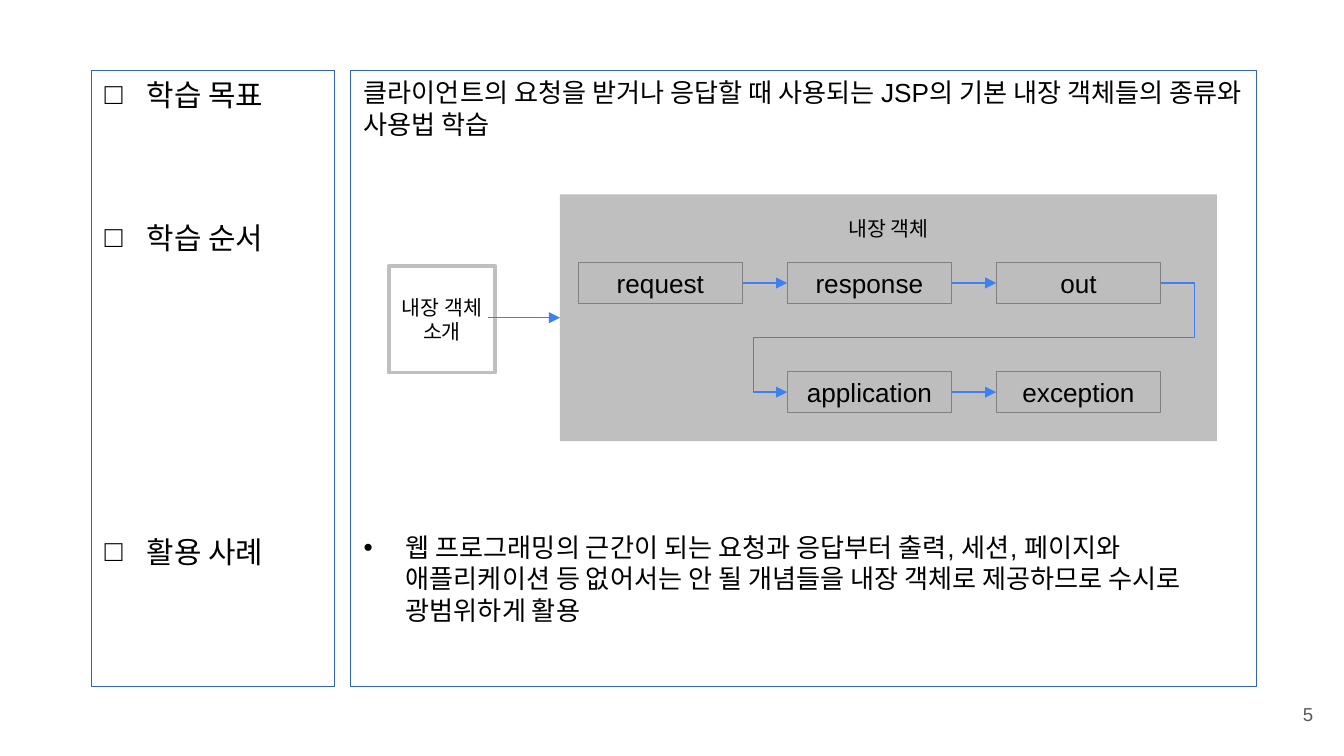
from dataclasses import dataclass
from typing import Any

from lxml import etree
from pptx import Presentation
from pptx.dml import color
from pptx.enum import shapes, text
from pptx.oxml import ns
from pptx.util import Pt


@dataclass(frozen=True)
class Theme:
    """Colours, type sizes and font of the slide."""
    font: str = "Arial"
    ink: str = "000000"
    muted: str = "595959"
    paper: str = "FFFFFF"
    panel_edge: str = "3162B5"
    area: str = "BFBFBF"
    step: str = "BDBDBD"
    step_edge: str = "808080"
    arrow: str = "3C81F3"
    heading: float = 16
    body: float = 14
    label: float = 11
    page: float = 10


@dataclass(frozen=True)
class Box:
    """A rectangle in points with its fill and outline."""
    left: float
    top: float
    width: float
    height: float
    fill: str | None = None
    edge: str | None = None
    edge_width: float = 0.25


@dataclass(frozen=True)
class Para:
    """A paragraph with its size, bullet and gap above."""
    words: str
    size: float
    bullet: str = ""
    before: float = 0
    align: text.PP_ALIGN = text.PP_ALIGN.LEFT
    ink: str = Theme.ink


@dataclass(frozen=True)
class Step:
    """A built-in object placed on the diagram grid."""
    name: str
    column: int
    row: int


THEME = Theme()
CENTER = text.PP_ALIGN.CENTER
MIDDLE = text.MSO_ANCHOR.MIDDLE
INDENT = 22.5
STEP_LEFT, STEP_TOP, STEP_WIDTH, STEP_HEIGHT = 309.7, 140.4, 88.2, 22.4
COLUMN_PITCH, ROW_PITCH = 112, 58.5

GOALS = [
    Para("학습 목표", THEME.heading, "□"),
    Para("학습 순서", THEME.heading, "□", 57.5),
    Para("활용 사례", THEME.heading, "□", 149),
]
DETAILS = [
    Para("클라이언트의 요청을 받거나 응답할 때 사용되는 JSP의 기본 내장 객체들의 "
         "종류와 사용법 학습", THEME.body),
    Para("웹 프로그래밍의 근간이 되는 요청과 응답부터 출력, 세션, 페이지와 "
         "애플리케이션 등 없어서는 안 될 개념들을 내장 객체로 제공하므로 수시로 "
         "광범위하게 활용", THEME.body, "•", 210),
]
STEPS = [
    Step("request", 0, 0), Step("response", 1, 0), Step("out", 2, 0),
    Step("application", 1, 1), Step("exception", 2, 1),
]


def rgb(value: str) -> color.RGBColor:
    """Turn a hex string into a colour."""
    return color.RGBColor.from_string(value)


def add_bullet(paragraph: Any, char: str) -> None:
    """Give a paragraph a hanging bullet."""
    props = paragraph._p.get_or_add_pPr()
    props.set("marL", str(Pt(INDENT)))
    props.set("indent", str(-Pt(INDENT)))
    tint = etree.SubElement(props, ns.qn("a:buClr"))
    etree.SubElement(tint, ns.qn("a:srgbClr"), val=THEME.ink)
    etree.SubElement(props, ns.qn("a:buFont"), typeface=THEME.font)
    etree.SubElement(props, ns.qn("a:buChar"), char=char)


def write(frame: Any, paras: list[Para], anchor: text.MSO_ANCHOR = text.MSO_ANCHOR.TOP,
          wrap: bool = True) -> None:
    """Fill a text frame with paragraphs."""
    frame.word_wrap = wrap
    frame.vertical_anchor = anchor
    for index, para in enumerate(paras):
        line = frame.add_paragraph() if index else frame.paragraphs[0]
        line.text = para.words
        if para.bullet:
            add_bullet(line, para.bullet)
        line.alignment = para.align
        line.space_before = Pt(para.before)
        line.font.name = THEME.font
        line.font.size = Pt(para.size)
        line.font.color.rgb = rgb(para.ink)


def add_box(parent: Any, box: Box) -> Any:
    """Draw a rectangle."""
    rect = parent.add_shape(shapes.MSO_SHAPE.RECTANGLE, Pt(box.left), Pt(box.top),
                            Pt(box.width), Pt(box.height))
    rect.shadow.inherit = False
    if box.fill:
        rect.fill.solid()
        rect.fill.fore_color.rgb = rgb(box.fill)
    else:
        rect.fill.background()
    if box.edge:
        rect.line.color.rgb = rgb(box.edge)
        rect.line.width = Pt(box.edge_width)
    else:
        rect.line.fill.background()
    return rect


def add_step(parent: Any, step: Step) -> Any:
    """Draw one built-in object at its grid place."""
    rect = add_box(parent, Box(STEP_LEFT + step.column * COLUMN_PITCH,
                               STEP_TOP + step.row * ROW_PITCH,
                               STEP_WIDTH, STEP_HEIGHT, THEME.step, THEME.step_edge, 0.5))
    write(rect.text_frame, [Para(step.name, THEME.body, align=CENTER)], MIDDLE)
    return rect


def add_arrow(parent: Any, start: tuple[int, int], end: tuple[int, int],
              bends: tuple[int, ...] = ()) -> Any:
    """Draw an arrow, straight or with five segments set by its bends."""
    kind = shapes.MSO_CONNECTOR.ELBOW if bends else shapes.MSO_CONNECTOR.STRAIGHT
    arrow = parent.add_connector(kind, *start, *end)
    arrow.line.color.rgb = rgb(THEME.arrow)
    arrow.line.width = Pt(0.75)
    props = arrow._element.spPr
    etree.SubElement(arrow.line._get_or_add_ln(), ns.qn("a:tailEnd"), type="triangle")
    etree.SubElement(props, ns.qn("a:effectLst"))
    if bends:
        geometry = props.find(ns.qn("a:prstGeom"))
        geometry.set("prst", "bentConnector5")
        guides = geometry.get_or_add_avLst()
        for number, bend in enumerate(bends, 1):
            etree.SubElement(guides, ns.qn("a:gd"), name=f"adj{number}", fmla=f"val {bend}")
    return arrow


def add_diagram(slide: Any) -> None:
    """Draw the learning order as a flow of built-in objects."""
    flow = slide.shapes.add_group_shape().shapes
    intro = add_box(flow, Box(208.3, 142.6, 57, 57, THEME.paper, THEME.area, 2))
    write(intro.text_frame, [Para("내장 객체\v소개", THEME.label, align=CENTER)], MIDDLE, False)
    area = add_box(flow, Box(300, 104.2, 352, 132.2, THEME.area))
    area.text_frame.margin_top = Pt(11.5)
    write(area.text_frame, [Para("내장 객체", THEME.label, align=CENTER)], wrap=False)

    request, response, out, application, exception = [add_step(flow, s) for s in STEPS]
    add_arrow(flow, (Pt(261.4), Pt(170.2)), (area.left, Pt(170.2)))
    for source, target in [(request, response), (response, out), (application, exception)]:
        middle = source.top + source.height // 2
        add_arrow(flow, (source.left + source.width, middle), (target.left, middle))
    add_arrow(flow, (out.left + out.width, out.top + out.height // 2),
              (application.left, application.top + application.height // 2),
              (-9000, 50000, 109000))


def main() -> None:
    """Build and save the slide."""
    deck = Presentation()
    deck.slide_width, deck.slide_height = Pt(720), Pt(405)
    slide = deck.slides.add_slide(deck.slide_layouts[6])

    page = slide.shapes.add_textbox(Pt(667.4), Pt(367.2), Pt(43.2), Pt(31))
    write(page.text_frame, [Para("5", THEME.page, align=text.PP_ALIGN.RIGHT,
                                 ink=THEME.muted)], MIDDLE)
    for left, width, paras in [(49, 130, GOALS), (187.8, 485.4, DETAILS)]:
        panel = add_box(slide.shapes, Box(left, 37.5, width, 330, edge=THEME.panel_edge))
        write(panel.text_frame, paras)
    add_diagram(slide)
    deck.save("out.pptx")


main()
